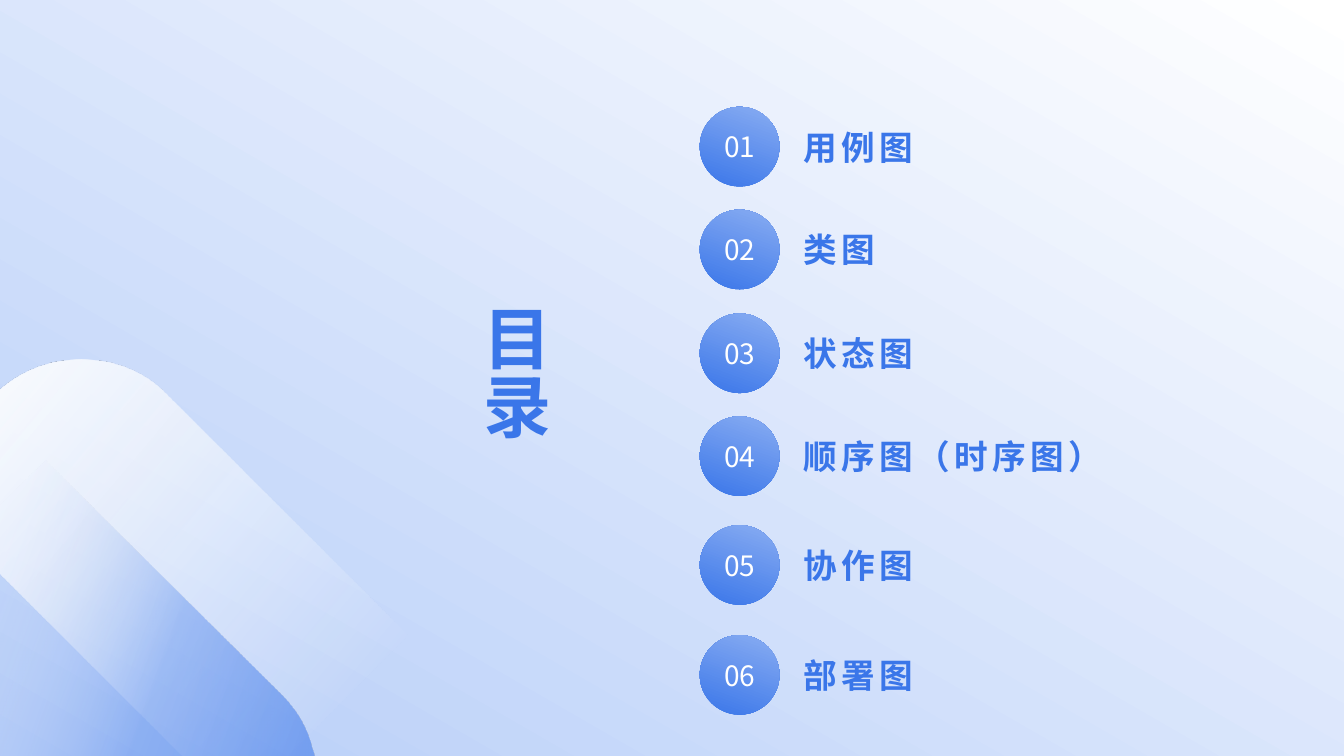
from lxml.etree import SubElement
from pptx import Presentation
from pptx.dml.color import RGBColor
from pptx.enum.shapes import MSO_SHAPE
from pptx.enum.text import MSO_ANCHOR, PP_ALIGN
from pptx.oxml import parse_xml
from pptx.oxml.ns import nsdecls, qn
from pptx.util import Inches, Pt

TITLE = "目录"
TOPICS = ["用例图", "类图", "状态图", "顺序图（时序图）", "协作图", "部署图"]
TOPS = [1.06, 2.08, 3.11, 4.13, 5.21, 6.3]

WIDE, HIGH = 13.33, 7.5
DOT_X, DOT = 6.94, 0.79
LABEL_X, LABEL_W, LABEL_H = 7.97, 3.48, 1.02

BLUE = RGBColor(0x3A, 0x76, 0xE9)
SKY = RGBColor(0x89, 0xAD, 0xF2)
MIST = RGBColor(0xB6, 0xCD, 0xF8)
PALE = RGBColor(0xD8, 0xE4, 0xFB)
ICE = RGBColor(0xF9, 0xFB, 0xFE)
FROST = RGBColor(0xFB, 0xFC, 0xFF)
WHITE = RGBColor(0xFF, 0xFF, 0xFF)

FONT = "Noto Sans CJK SC"
TITLE_FONT = {"name": FONT, "size": Pt(48.6), "bold": True}
LABEL_FONT = {"name": FONT, "size": Pt(24), "bold": True}
DOT_FONT = {"name": FONT, "size": Pt(20), "bold": False}
FRAME = {"margin_left": 0, "margin_top": 0, "margin_right": 0,
         "margin_bottom": 0, "vertical_anchor": MSO_ANCHOR.MIDDLE}

# Gradients: clockwise angle, then stops of (percent, colour, opacity)
BACK_FADE = (300, [(0, MIST, 100), (100, WHITE, 100)])
DOT_FADE = (290, [(0, BLUE, 100), (100, SKY, 100)])

# Each band: gradient, then outline; a point of six numbers is a curve
BANDS = [
    ((40, [(0, ICE, 100), (87, FROST, 0)]),
     [(0.81, 3.57), (1.12, 3.57, 1.43, 3.68, 1.66, 3.92), (4.04, 6.3),
      (2.85, 7.5), (1.81, 7.5), (0, 5.69), (0, 3.87), (0.04, 3.84),
      (0.26, 3.66, 0.53, 3.57, 0.81, 3.57)]),
    ((20, [(0, WHITE, 0), (56, BLUE, 34), (98, BLUE, 55)]),
     [(0.45, 4.57), (2.79, 6.89), (2.94, 7.04, 3.04, 7.21, 3.09, 7.4),
      (3.12, 7.5), (0, 7.5), (0, 5.01)]),
]


def shade(shape, fade):
    """Give the shape a linear gradient, no line and no shadow."""
    angle, stops = fade
    shape.shadow.inherit = False
    shape.line.fill.background()
    shape.fill.background()
    grad = parse_xml(f'<a:gradFill {nsdecls("a")} rotWithShape="1"><a:gsLst/>'
                     f'<a:lin ang="{angle * 60000}" scaled="0"/></a:gradFill>')
    for place, color, alpha in stops:
        stop = SubElement(grad[0], qn("a:gs"), pos=str(place * 1000))
        tone = SubElement(stop, qn("a:srgbClr"), val=str(color))
        if alpha < 100:
            SubElement(tone, qn("a:alpha"), val=str(alpha * 1000))
    props = shape.fill._xPr
    props.replace(props.find(qn("a:noFill")), grad)


def trace(outline, steps=16):
    """Turn an outline with cubic curves into plain points."""
    points = [outline[0]]
    for item in outline[1:]:
        if len(item) == 2:
            points.append(item)
            continue
        knots = [points[-1], item[:2], item[2:4], item[4:]]
        for step in range(1, steps + 1):
            t = step / steps
            mix = ((1 - t) ** 3, 3 * t * (1 - t) ** 2, 3 * t * t * (1 - t), t ** 3)
            points.append(tuple(sum(m * k[axis] for m, k in zip(mix, knots))
                                for axis in (0, 1)))
    return [(Inches(x), Inches(y)) for x, y in points]


def write(shape, text, style, color, wrap=True, gap=0):
    frame = shape.text_frame
    for key, value in FRAME.items():
        setattr(frame, key, value)
    frame.word_wrap = wrap
    para = frame.paragraphs[0]
    run = para.add_run()
    run.text = text
    for key, value in style.items():
        setattr(run.font, key, value)
    run.font.color.rgb = color
    props = run._r.get_or_add_rPr()
    SubElement(props, qn("a:ea"), typeface=FONT)
    if gap:
        props.set("spc", str(gap * 100))
    return para


def add_label(shapes, box, text, style):
    label = shapes.add_textbox(*map(Inches, box))
    return write(label, text, style, BLUE, gap=3)


def main():
    deck = Presentation()
    deck.slide_width, deck.slide_height = Inches(WIDE), Inches(HIGH)
    slide = deck.slides.add_slide(deck.slide_layouts[6])
    slide.background.fill.solid()
    slide.background.fill.fore_color.rgb = PALE
    shapes = slide.shapes

    back = shapes.add_shape(MSO_SHAPE.RECTANGLE, 0, 0, Inches(WIDE), Inches(HIGH))
    shade(back, BACK_FADE)
    for fade, outline in BANDS:
        points = trace(outline)
        pen = shapes.build_freeform(*points[0])
        pen.add_line_segments(points[1:], close=True)
        shade(pen.convert_to_shape(), fade)

    title = add_label(shapes, (4.8, 3.09, 0.85, 1.33), TITLE, TITLE_FONT)
    title.line_spacing = 0.83

    for count, (topic, top) in enumerate(zip(TOPICS, TOPS), 1):
        dot = shapes.add_shape(MSO_SHAPE.OVAL, *map(Inches, (DOT_X, top, DOT, DOT)))
        shade(dot, DOT_FADE)
        para = write(dot, f"{count:02}", DOT_FONT, WHITE, wrap=False)
        para.alignment = PP_ALIGN.CENTER
        label_y = top + (DOT - LABEL_H) / 2
        add_label(shapes, (LABEL_X, label_y, LABEL_W, LABEL_H), topic, LABEL_FONT)

    deck.save("out.pptx")


if __name__ == "__main__":
    main()
